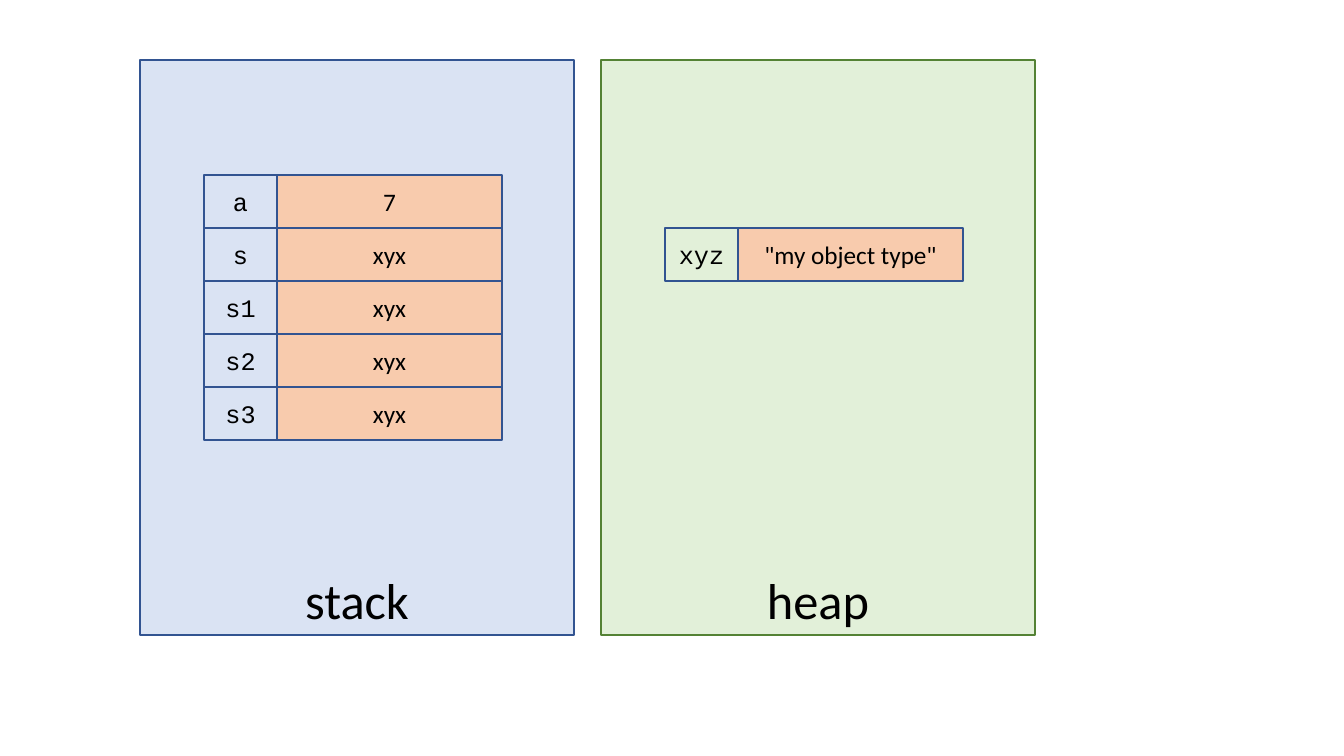
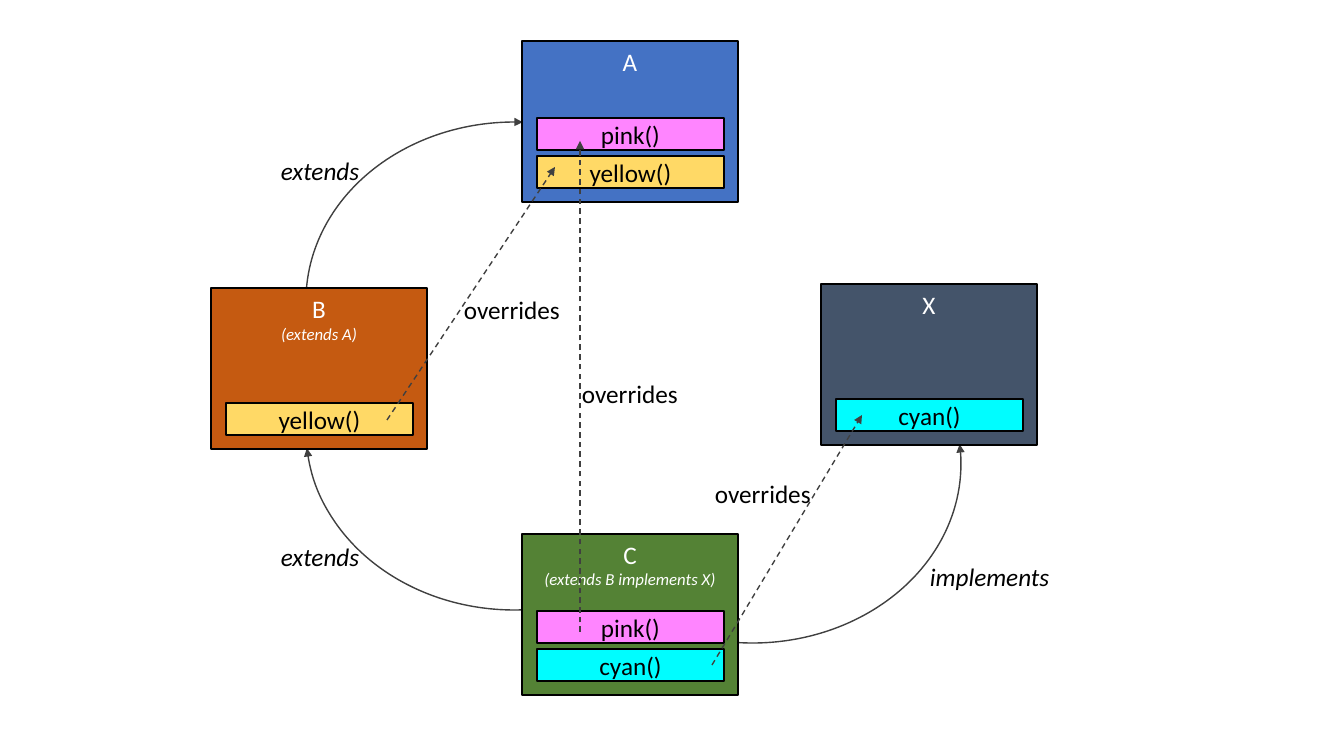
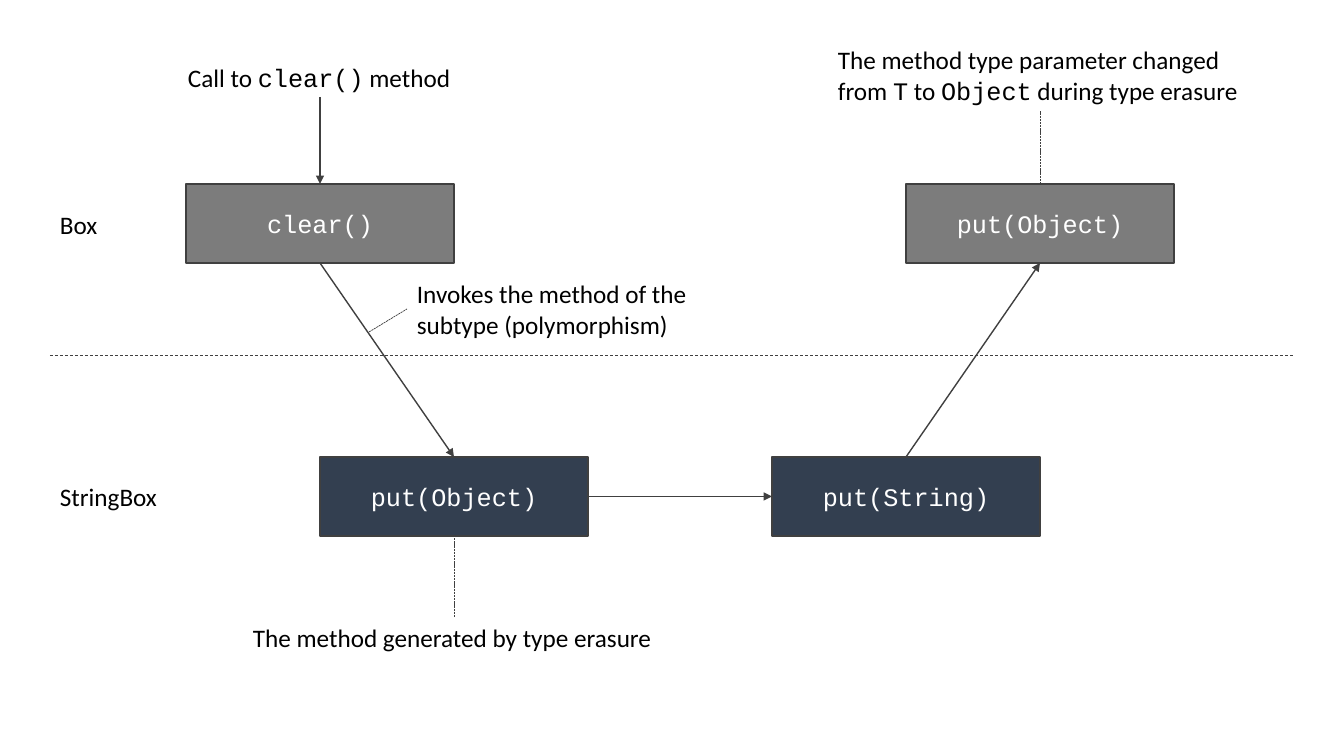
import pptx
import pptx.dml.color
import pptx.enum.dml
import pptx.enum.shapes
import pptx.enum.text
import pptx.oxml.ns
import pptx.util
from lxml import etree

PX = 9071  # EMU per pixel
SANS, MONO = "Calibri", "Courier New"
BLACK, WHITE, NAVY, GRAY = "000000", "FFFFFF", "325491", "404040"
PEACH, PINK, YELLOW, CYAN = "F8CBAD", "FF85FF", "FFD966", "00FDFF"

SHAPE = pptx.enum.shapes.MSO_SHAPE
STRAIGHT = pptx.enum.shapes.MSO_CONNECTOR.STRAIGHT
ANCHOR = pptx.enum.text.MSO_ANCHOR
ALIGN = pptx.enum.text.PP_ALIGN
DASH = pptx.enum.dml.MSO_LINE.DASH
SHORT_DASH = pptx.enum.dml.MSO_LINE.SQUARE_DOT
TOP, LEFT, BOTTOM, RIGHT = range(4)

rgb = pptx.dml.color.RGBColor.from_string
qn = pptx.oxml.ns.qn


def add_box(page, place, paragraphs, fill=None, outline=None, color=BLACK,
            anchor=ANCHOR.MIDDLE, wrap=True):
    """Add an outlined rectangle, or a text box if there is no outline.

    Each paragraph is a list of (text, font, size, italic) spans.
    """
    place = [length * PX for length in place]
    if outline:
        box = page.shapes.add_shape(SHAPE.RECTANGLE, *place)
        box.shadow.inherit = False
        box.line.color.rgb = rgb(outline)
        box.line.width = pptx.util.Pt(1)
        if fill:
            box.fill.solid()
            box.fill.fore_color.rgb = rgb(fill)
        else:
            box.fill.background()
    else:
        box = page.shapes.add_textbox(*place)
        box.text_frame.auto_size = pptx.enum.text.MSO_AUTO_SIZE.SHAPE_TO_FIT_TEXT
    frame = box.text_frame
    frame.word_wrap = wrap
    frame.vertical_anchor = anchor
    for index, spans in enumerate(paragraphs):
        para = frame.add_paragraph() if index else frame.paragraphs[0]
        para.alignment = ALIGN.CENTER if outline else ALIGN.LEFT
        for text, font, size, italic in spans:
            span = para.add_run()
            span.text = text
            span.font.name = font
            span.font.size = pptx.util.Pt(size)
            span.font.italic = italic
            span.font.color.rgb = rgb(color)
    return box


def style_line(shape, width=1, dash=None, arrow=None):
    """Style an arc or connector; arrow is "headEnd" or "tailEnd"."""
    shape.line.color.rgb = rgb(GRAY)
    shape.line.width = pptx.util.Pt(width)
    if dash:
        shape.line.dash_style = dash
    properties = shape.element.spPr
    if arrow:
        etree.SubElement(properties.find(qn("a:ln")), qn("a:" + arrow), type="triangle")
    etree.SubElement(properties, qn("a:effectLst"))


deck = pptx.Presentation()
deck.slide_width = 1344 * PX
deck.slide_height = 756 * PX
memory_page, override_page, erasure_page = [
    deck.slides.add_slide(deck.slide_layouts[6]) for _ in range(3)]

# Stack and heap
ROW = 53
stack_rows = [("a", "7"), ("s", "xyx"), ("s1", "xyx"), ("s2", "xyx"), ("s3", "xyx")]
heap_rows = [("xyz", '"my object type"')]
memory_areas = [
    ("stack", 140, "DAE3F3", NAVY, 175, stack_rows),
    ("heap", 601, "E2F0D9", "548235", 175 + ROW, heap_rows),
]
for name, left, fill, outline, first_top, rows in memory_areas:
    add_box(memory_page, (left, 60, 434, 575), [[(name, SANS, 36, False)]],
            fill, outline, anchor=ANCHOR.BOTTOM)
    for index, (variable, value) in enumerate(rows):
        top = first_top + index * ROW
        add_box(memory_page, (left + 64, top, 73, ROW),
                [[(variable, MONO, 18, False)]], None, NAVY)
        add_box(memory_page, (left + 137, top, 225, ROW),
                [[(value, SANS, 18, False)]], PEACH, NAVY)

# Class hierarchy: arcs from start to end angle in degrees
arcs = [
    (306, 252, 86.55, 175.26, "tailEnd"),
    (306, 122, 183.32, 272.66, "tailEnd"),
    (544, 285, 354.55, 94.47, "headEnd"),
]
for left, top, start, end, arrow in arcs:
    arc = override_page.shapes.add_shape(
        SHAPE.ARC, left * PX, top * PX, 417 * PX, 358 * PX)
    arc.adjustments[0] = start * 0.6
    arc.adjustments[1] = end * 0.6
    arc.fill.background()
    style_line(arc, arrow=arrow)

METHOD_STEP = 38
pink, yellow, cyan = ("pink()", PINK), ("yellow()", YELLOW), ("cyan()", CYAN)
classes = [
    ("A", None, 522, 41, "4472C4", [pink, yellow]),
    ("B", "(extends A)", 211, 288, "C55A11", [yellow]),
    ("X", None, 821, 284, "44546A", [cyan]),
    ("C", "(extends B implements X)", 522, 534, "548235", [pink, cyan]),
]
for name, relation, left, top, fill, methods in classes:
    heading = [[(name, SANS, 18, False)]]
    if relation:
        heading.append([(relation, SANS, 12, True)])
    add_box(override_page, (left, top, 216, 161), heading, fill, BLACK, WHITE, ANCHOR.TOP)
    for index, (method, method_fill) in enumerate(reversed(methods)):
        add_box(override_page, (left + 15, top + 115 - index * METHOD_STEP, 187, 32),
                [[(method, SANS, 18, False)]], method_fill, BLACK)

for ends in [(580, 632, 580, 141), (387, 420, 555, 167), (712, 665, 862, 415)]:
    override_arrow = override_page.shapes.add_connector(
        STRAIGHT, *[length * PX for length in ends])
    style_line(override_arrow, dash=DASH, arrow="tailEnd")

relation_labels = [
    ("extends", 271, 150, 102, True),
    ("extends", 271, 536, 102, True),
    ("implements", 920, 556, 143, True),
    ("overrides", 454, 289, 117, False),
    ("overrides", 572, 373, 117, False),
    ("overrides", 705, 473, 117, False),
]
for text, left, top, width, italic in relation_labels:
    add_box(override_page, (left, top, width, 40), [[(text, SANS, 18, italic)]], wrap=False)

# Type erasure
method_boxes = [
    ("clear()", 186, 184, "7C7C7C"),
    ("put(Object)", 906, 184, "7C7C7C"),
    ("put(Object)", 320, 457, "333F50"),
    ("put(String)", 772, 457, "333F50"),
]
clear_box, erased_put, bridge_put, string_put = [
    add_box(erasure_page, (left, top, 268, 79), [[(text, MONO, 18, False)]],
            fill, GRAY, WHITE)
    for text, left, top, fill in method_boxes]

erasure_labels = [
    ((50, 204, 58, 40), [("Box", SANS)], False),
    ((50, 476, 118, 40), [("StringBox", SANS)], False),
    ((178, 57, 284, 40), [("Call to ", SANS), ("clear()", MONO), (" method", SANS)], False),
    ((407, 273, 299, 72), [("Invokes the method of the subtype (polymorphism)", SANS)], True),
    ((243, 617, 422, 40), [("The method generated by type erasure", SANS)], False),
    ((828, 39, 424, 72), [("The method type parameter changed from ", SANS), ("T", MONO),
                          (" to ", SANS), ("Object", MONO),
                          (" during type erasure", SANS)], True),
]
_, _, call_label, invoke_label, bridge_label, erased_label = [
    add_box(erasure_page, place, [[(text, font, 18, False) for text, font in spans]], wrap=wrap)
    for place, spans, wrap in erasure_labels]

joins = [
    (call_label, BOTTOM, clear_box, TOP, True),
    (clear_box, BOTTOM, bridge_put, TOP, True),
    (bridge_put, RIGHT, string_put, LEFT, True),
    (string_put, TOP, erased_put, BOTTOM, True),
    (bridge_label, TOP, bridge_put, BOTTOM, False),
    (erased_put, TOP, erased_label, BOTTOM, False),
]
for source, source_side, target, target_side, is_call in joins:
    join = erasure_page.shapes.add_connector(STRAIGHT, 0, 0, 0, 0)
    join.begin_connect(source, source_side)
    join.end_connect(target, target_side)
    if is_call:
        style_line(join, arrow="tailEnd")
    else:
        style_line(join, 0.5, SHORT_DASH)

divider = erasure_page.shapes.add_connector(STRAIGHT, 50 * PX, 355 * PX, 1295 * PX, 355 * PX)
style_line(divider, 0.5, DASH)
invoke_leader = erasure_page.shapes.add_connector(
    STRAIGHT, 369 * PX, 332 * PX, 407 * PX, 309 * PX)
invoke_leader.end_connect(invoke_label, LEFT)
style_line(invoke_leader, 0.5, SHORT_DASH)

deck.save("out.pptx")
